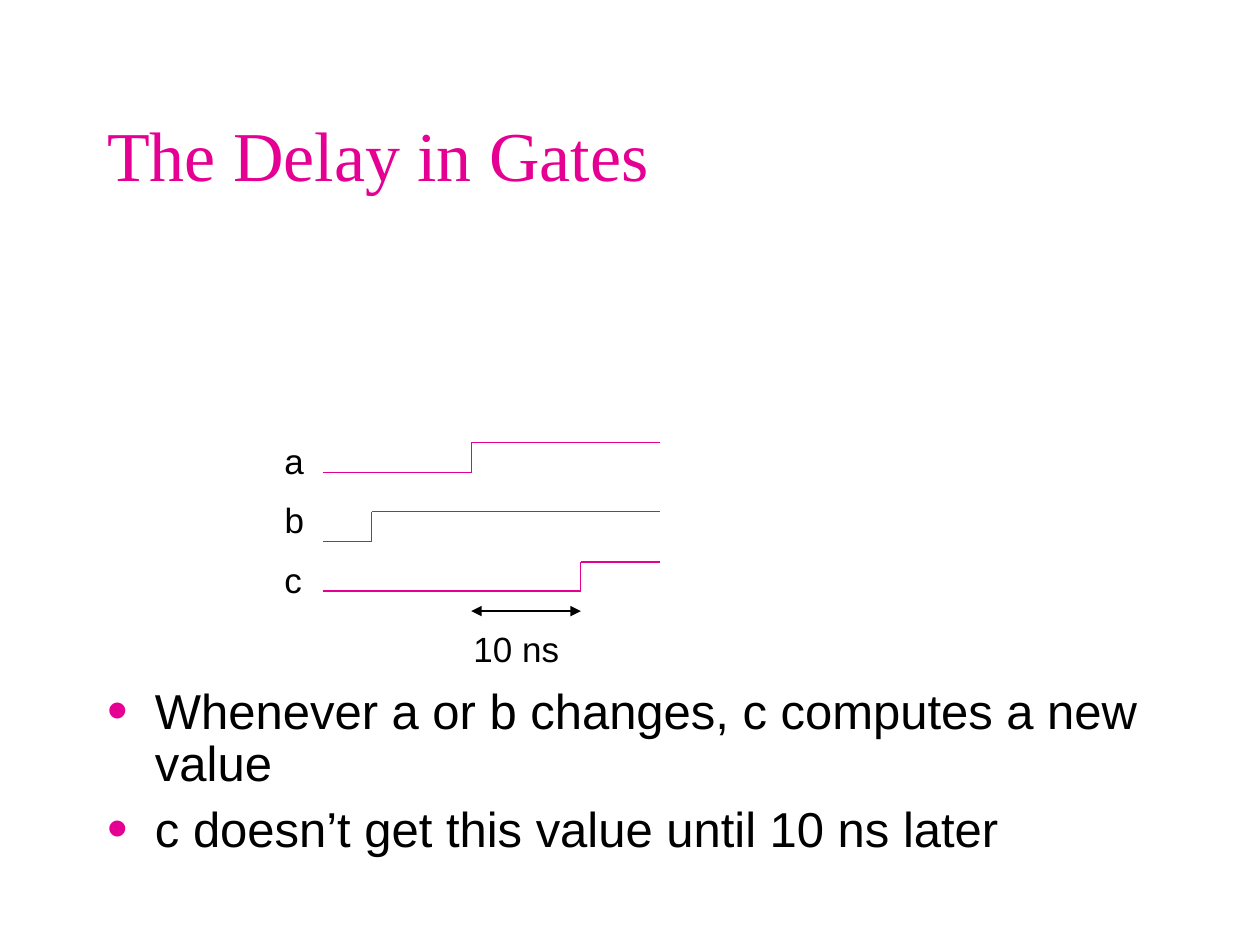
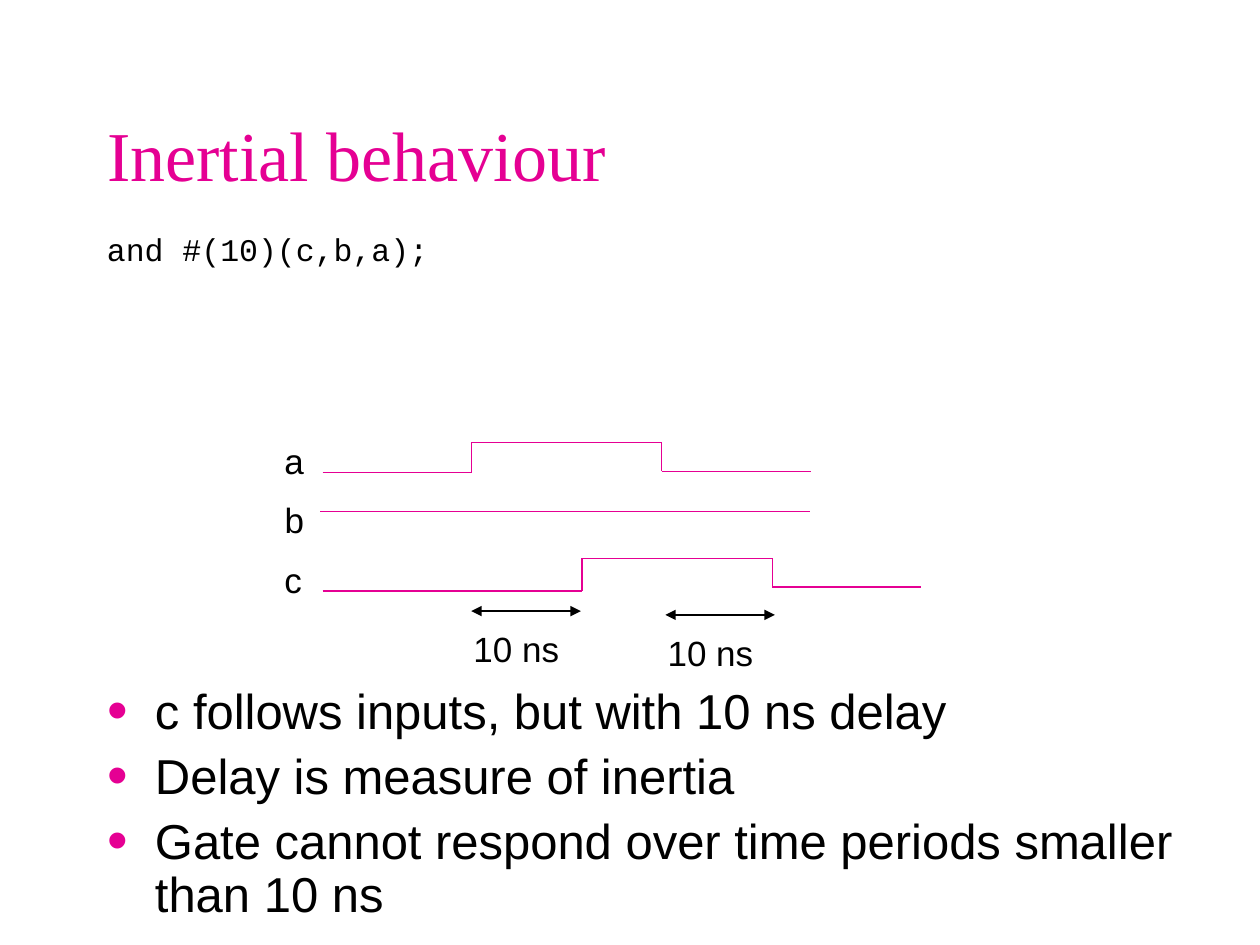
from dataclasses import dataclass
from typing import List, Tuple

import lxml.etree
import pptx
import pptx.dml.color
import pptx.enum.shapes
import pptx.enum.text
import pptx.oxml.ns
import pptx.slide
import pptx.text.text
import pptx.util

PX = 9144
PINK = pptx.dml.color.RGBColor(0xE5, 0x00, 0x93)
BLACK = pptx.dml.color.RGBColor(0x00, 0x00, 0x00)
WHITE = pptx.dml.color.RGBColor(0xFF, 0xFF, 0xFF)
SANS = "Arial"
SERIF = "Times New Roman"
MONO = "Courier New"

Point = Tuple[int, int]
Box = Tuple[int, int, int, int]

TITLE_BOX: Box = (75, 52, 850, 140)
BULLET_INDENT = 38
DELAY = 87


@dataclass(frozen=True)
class Label:
    text: str
    box: Box
    size: float = 20
    font: str = SANS
    before: float = 12.5
    grow: bool = True


@dataclass(frozen=True)
class DelayMark:
    x: int
    y: int


@dataclass(frozen=True)
class TimingSlide:
    title: str
    bullets: List[str]
    body_box: Box
    waves: List[List[Point]]
    delays: List[DelayMark]
    labels: List[Label]


SIGNALS = [Label(name, (216, top, width, 43))
           for name, top, width in (("a", 344, 47), ("b", 391, 55), ("c", 438, 47))]

SLIDES = [
    TimingSlide(
        title="The Delay in Gates",
        bullets=["Whenever a or b changes, c computes a new value",
                 "c doesn’t get this value until 10 ns later"],
        body_box=(75, 540, 850, 155),
        waves=[
            [(256, 375), (374, 375), (374, 351), (524, 351)],
            [(256, 430), (295, 430), (295, 406), (524, 406)],
            [(256, 469), (461, 469), (461, 446), (524, 446)],
        ],
        delays=[DelayMark(374, 485)],
        labels=SIGNALS,
    ),
    TimingSlide(
        title="Inertial behaviour",
        bullets=["c follows inputs, but with 10 ns delay",
                 "Delay is measure of inertia",
                 "Gate cannot respond over time periods smaller than 10 ns"],
        body_box=(75, 540, 925, 210),
        waves=[
            [(256, 375), (374, 375), (374, 351), (525, 351), (525, 374), (644, 374)],
            [(254, 406), (643, 406)],
            [(256, 469), (462, 469), (462, 443), (613, 443), (613, 466), (731, 466)],
        ],
        delays=[DelayMark(374, 485), DelayMark(528, 488)],
        labels=[Label("and #(10)(c,b,a);", (75, 178, 803, 400), 18, MONO, 4.5, False)] + SIGNALS,
    ),
]


def emu(*lengths: int) -> List[pptx.util.Emu]:
    return [pptx.util.Emu(length * PX) for length in lengths]


def format_paragraph(p: pptx.text.text._Paragraph, font: str, size: float,
                     color: pptx.dml.color.RGBColor) -> None:
    p.alignment = pptx.enum.text.PP_ALIGN.LEFT
    for r in p.runs:
        r.font.name = font
        r.font.size = pptx.util.Pt(size)
        r.font.color.rgb = color


def add_bullet(p: pptx.text.text._Paragraph) -> None:
    qn = pptx.oxml.ns.qn
    pPr = p._p.get_or_add_pPr()
    pPr.set("marL", str(BULLET_INDENT * PX))
    pPr.set("indent", str(-BULLET_INDENT * PX))
    color = lxml.etree.SubElement(pPr, qn("a:buClr"))
    lxml.etree.SubElement(color, qn("a:srgbClr"), val=str(PINK))
    lxml.etree.SubElement(pPr, qn("a:buSzPct"), val="120000")
    lxml.etree.SubElement(pPr, qn("a:buFont"), typeface=SANS)
    lxml.etree.SubElement(pPr, qn("a:buChar"), char="•")


def place(sp, box: Box) -> None:
    sp.left, sp.top, sp.width, sp.height = emu(*box)


def fill_title(s: pptx.slide.Slide, title: str) -> None:
    sp = s.shapes.title
    place(sp, TITLE_BOX)
    tf = sp.text_frame
    tf.text = title
    tf.auto_size = pptx.enum.text.MSO_AUTO_SIZE.NONE
    tf.vertical_anchor = pptx.enum.text.MSO_ANCHOR.MIDDLE
    format_paragraph(tf.paragraphs[0], SERIF, 40, PINK)


def fill_body(s: pptx.slide.Slide, bullets: List[str], box: Box) -> None:
    sp = s.placeholders[1]
    place(sp, box)
    sp.fill.solid()
    sp.fill.fore_color.rgb = WHITE
    tf = sp.text_frame
    tf.text = "\n".join(bullets)
    tf.auto_size = pptx.enum.text.MSO_AUTO_SIZE.NONE
    tf.vertical_anchor = pptx.enum.text.MSO_ANCHOR.TOP
    for p in tf.paragraphs:
        format_paragraph(p, SANS, 28, BLACK)
        p.line_spacing = 0.9
        p.space_before = pptx.util.Pt(7)
        add_bullet(p)


def add_label(s: pptx.slide.Slide, label: Label) -> None:
    tf = s.shapes.add_textbox(*emu(*label.box)).text_frame
    tf.word_wrap = True
    if label.grow:
        tf.auto_size = pptx.enum.text.MSO_AUTO_SIZE.SHAPE_TO_FIT_TEXT
    tf.text = label.text
    p = tf.paragraphs[0]
    p.space_before = pptx.util.Pt(label.before)
    format_paragraph(p, label.font, label.size, BLACK)


def add_line(s: pptx.slide.Slide, start: Point, end: Point,
             color: pptx.dml.color.RGBColor, arrows: bool = False) -> None:
    qn = pptx.oxml.ns.qn
    line = s.shapes.add_connector(pptx.enum.shapes.MSO_CONNECTOR.STRAIGHT, *emu(*start, *end))
    line.line.color.rgb = color
    line.line.width = pptx.util.Pt(0.75)
    if arrows:
        ln = line.line._get_or_add_ln()
        for tag in ("a:headEnd", "a:tailEnd"):
            lxml.etree.SubElement(ln, qn(tag), type="triangle")
    lxml.etree.SubElement(line._element.spPr, qn("a:effectLst"))


def add_wave(s: pptx.slide.Slide, points: List[Point]) -> None:
    for start, end in zip(points, points[1:]):
        add_line(s, start, end, PINK)


def add_delay(s: pptx.slide.Slide, mark: DelayMark) -> None:
    add_line(s, (mark.x, mark.y), (mark.x + DELAY, mark.y), BLACK, arrows=True)
    add_label(s, Label("10 ns", (mark.x - 8, mark.y + 8, 126, 43)))


def add_timing_slide(prs, content: TimingSlide) -> None:
    s = prs.slides.add_slide(prs.slide_layouts[1])
    fill_title(s, content.title)
    fill_body(s, content.bullets, content.body_box)
    for label in content.labels:
        add_label(s, label)
    for points in content.waves:
        add_wave(s, points)
    for mark in content.delays:
        add_delay(s, mark)


def main() -> None:
    prs = pptx.Presentation()
    prs.slide_width, prs.slide_height = emu(1000, 750)
    for content in SLIDES:
        add_timing_slide(prs, content)
    prs.save("out.pptx")


if __name__ == "__main__":
    main()
